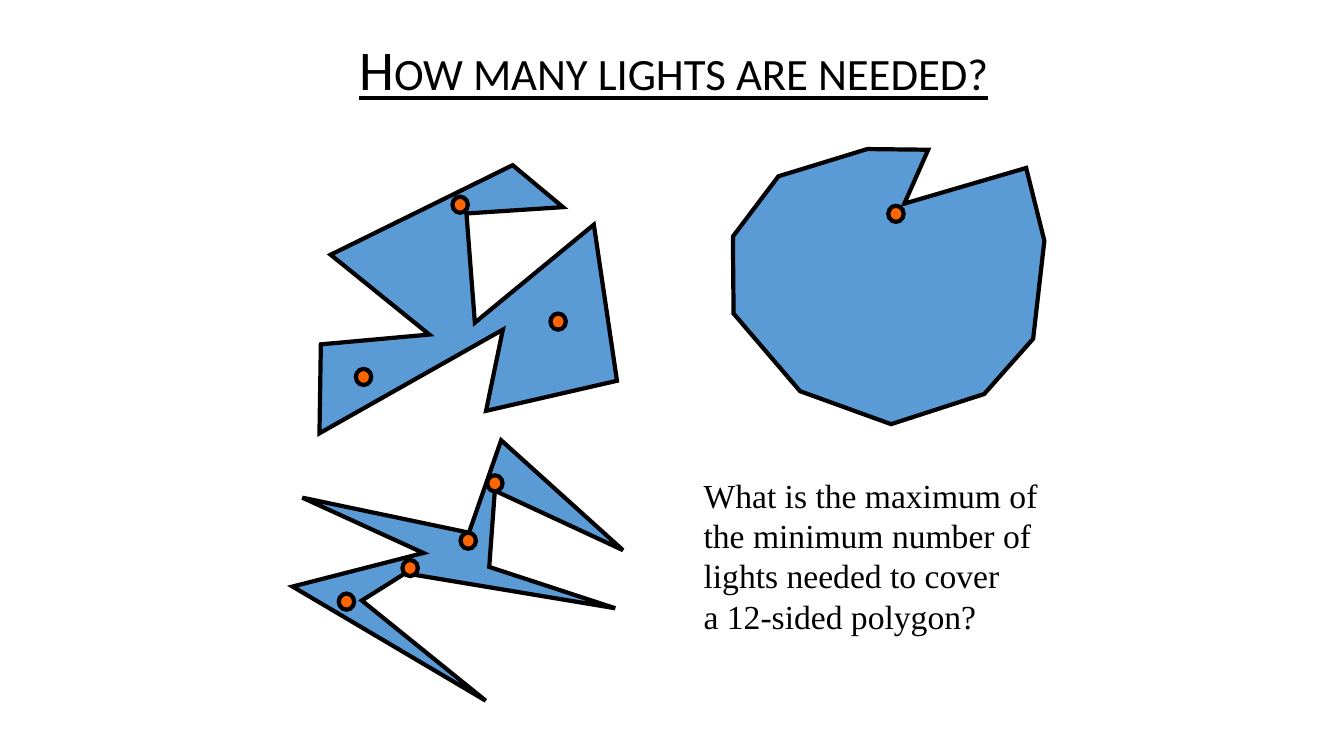
from lxml import etree
from pptx import Presentation, util as u
from pptx.dml.color import RGBColor
from pptx.enum import shapes, text
from pptx.oxml.ns import qn

Pt = u.Pt
BLACK = RGBColor(0, 0, 0)
BLUE = RGBColor(0x5B, 0x9B, 0xD5)
ORANGE = RGBColor(0xFF, 0x66, 0x00)

# Each room: left and top, corners and lights measured from there
ROOMS = [
    ((228.2, 118),
     [(8, 64), (78.5, 121), (1, 128), (0, 191.5), (131, 117.5), (119, 175.5),
      (212.5, 154), (196, 42.5), (111, 112.5), (105, 34.5), (174, 30), (138, 0)],
     [(165, 106), (26, 145.5), (95, 22.5)]),
    ((523.5, 106.5),
     [(32.5, 19.5), (0, 62.5), (0.5, 117.5), (48, 173), (113, 196.5), (179.5, 175),
      (214.5, 135.5), (222.5, 65.5), (209.5, 13.5), (122.5, 39), (139.5, 0.5), (96, 0)],
     [(111, 40.5)]),
    ((209, 314.5),
     [(7, 41), (93.5, 80.5), (0, 104.5), (138, 186), (49.5, 114.5), (80.5, 95),
      (230.5, 120), (140.5, 90.5), (144.5, 36), (236, 78.5), (149, 0), (126, 66)],
     [(33, 109.5), (78.5, 85.5), (120, 66), (139, 25)]),
]
ASK = ["What is the maximum of", "the minimum number of",
       "lights needed to cover", "a 12-sided polygon?"]


def paint(shape, fill):
    """Fill a shape and give it a black outline with sharp corners."""
    shape.shadow.inherit = False
    shape.fill.solid()
    shape.fill.fore_color.rgb = fill
    shape.line.color.rgb = BLACK
    shape.line.width = Pt(3)
    edge = shape.line._get_or_add_ln()
    etree.SubElement(edge, qn("a:miter")).set("lim", "800000")


def room(slide, spot, corners, lights):
    """Draw one polygon and the lights inside it."""
    left, top = spot
    ends = [(Pt(x), Pt(y)) for x, y in corners]
    pen = slide.shapes.build_freeform(*ends[0])
    pen.add_line_segments(ends[1:], close=True)
    paint(pen.convert_to_shape(Pt(left), Pt(top)), BLUE)
    for x, y in lights:
        lamp = slide.shapes.add_shape(shapes.MSO_SHAPE.OVAL, Pt(left + x),
                                      Pt(top + y), Pt(11), Pt(11.5))
        paint(lamp, ORANGE)


def write(slide, box, lines, wrap, style):
    """Add a text box with one paragraph a line; return its frame."""
    frame = slide.shapes.add_textbox(*map(Pt, box)).text_frame
    frame.word_wrap = wrap
    for i, line in enumerate(lines):
        para = frame.paragraphs[0] if i == 0 else frame.add_paragraph()
        run = para.add_run()
        run.text = line
        run.font.color.rgb = BLACK
        for key, value in style.items():
            setattr(run.font, key, value)
    return frame


def title(slide, box):
    style = {"name": "Calibri", "size": Pt(40), "underline": True}
    frame = write(slide, box, ["How many lights are needed?"], True, style)
    frame.vertical_anchor = text.MSO_ANCHOR.MIDDLE
    para = frame.paragraphs[0]
    para.alignment = text.PP_ALIGN.CENTER
    para.line_spacing = 0.9
    para.runs[0]._r.get_or_add_rPr().set("cap", "small")


def ask(slide, box):
    style = {"name": "Times New Roman", "size": Pt(24)}
    frame = write(slide, box, ASK, False, style)
    frame.auto_size = text.MSO_AUTO_SIZE.SHAPE_TO_FIT_TEXT


def main():
    deck = Presentation()
    deck.slide_width, deck.slide_height = Pt(960), Pt(540)
    slide = deck.slides.add_slide(deck.slide_layouts[6])
    title(slide, (127, 21, 708.5, 61))
    for spot, corners, lights in ROOMS:
        room(slide, spot, corners, lights)
    ask(slide, (495.5, 335.5, 256.5, 124))
    deck.save("out.pptx")


if __name__ == "__main__":
    main()
